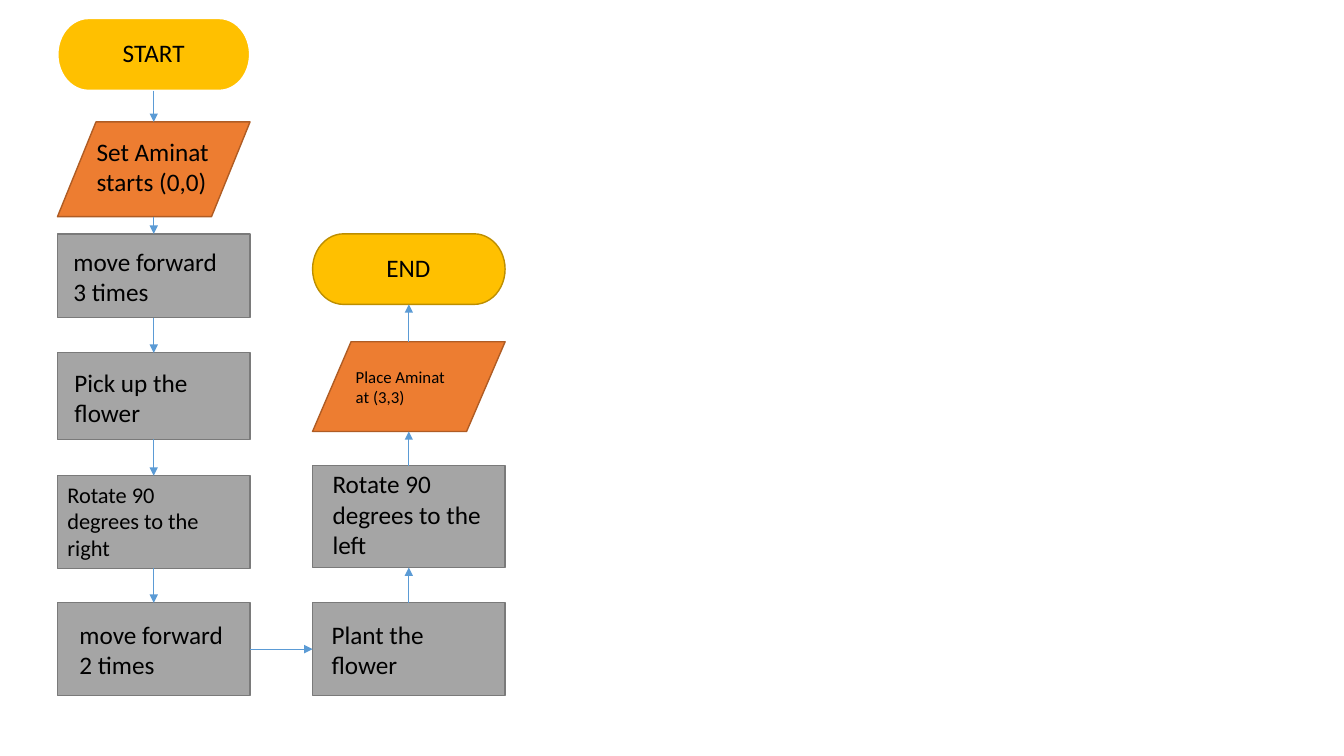
from itertools import pairwise

from lxml import etree
from pptx import Presentation
from pptx.dml.color import RGBColor
from pptx.enum.shapes import MSO_CONNECTOR, MSO_SHAPE
from pptx.enum.text import PP_ALIGN
from pptx.oxml.ns import qn
from pptx.util import Pt

BOX = MSO_SHAPE.RECTANGLE
OVAL = MSO_SHAPE.FLOWCHART_TERMINATOR
DATA = MSO_SHAPE.FLOWCHART_DATA
STRAIGHT = MSO_CONNECTOR.STRAIGHT
LEFT, CENTER = PP_ALIGN.LEFT, PP_ALIGN.CENTER

SCALE = 9144  # EMU in one px, 100 px to the inch
TOP, WEST, BOTTOM, EAST = range(4)
WIDTH = 191
COL_A, COL_B = 57, 310

COLORS = {
    "text": "000000",
    "arrow": "5B9BD5",
    "white": "FFFFFF",
    "gray": "A5A5A5",
    "gray edge": "7A7A7A",
    "gold": "FFC000",
    "gold edge": "BD8E00",
    "orange": "ED7D31",
    "orange edge": "AF5C24",
}
FILLS = {BOX: "gray", OVAL: "gold", DATA: "orange"}

# kind, left, top, height, text, text area (left, top, width, height), format
STEPS = [
    (OVAL, COL_A, 18, 72, "START", (76, 32, 153, 40),
     {"align": CENTER}),
    (DATA, COL_A, 121, 94, "Set Aminat starts (0,0)", (86, 130, 162, 71), {}),
    (BOX, COL_A, 232, 83, "move forward 3 times", (63, 239, 174, 71), {}),
    (BOX, COL_A, 350, 86, "Pick up the flower", (64, 359, 174, 71), {}),
    (BOX, COL_A, 472, 92, "Rotate 90 degrees to the right",
     (57, 472, 174, 91), {"size": 16}),
    (BOX, COL_A, 598, 92, "move forward 2 times", (69, 609, 166, 71), {}),
    (BOX, COL_B, 598, 92, "Plant the flower", (319, 609, 174, 71), {}),
    (BOX, COL_B, 462, 101, "Rotate 90 degrees to the left",
     (320, 460, 171, 101), {}),
    (DATA, COL_B, 339, 89, "Place Aminat at (3,3)", (343, 359, 122, 50),
     {"size": 12}),
    (OVAL, COL_B, 232, 70, "END", (319, 245, 172, 40), {"align": CENTER}),
]


def px(*nums):
    return [num * SCALE for num in nums]


def rgb(name):
    return RGBColor.from_string(COLORS[name])


def side(shape, site):
    """Return the middle of one side of the shape, in EMU."""
    x, y = shape.left + shape.width // 2, shape.top + shape.height // 2
    return {
        TOP: (x, shape.top),
        WEST: (shape.left, y),
        BOTTOM: (x, shape.top + shape.height),
        EAST: (shape.left + shape.width, y),
    }[site]


class Chart:
    """Draws flowchart parts on one slide."""

    font = "Calibri"

    def __init__(self, slide):
        self.shapes = slide.shapes

    def node(self, kind, left, top, high, edge=None, weight=1):
        fill = FILLS[kind]
        shape = self.shapes.add_shape(kind, *px(left, top, WIDTH, high))
        shape.shadow.inherit = False
        shape.fill.solid()
        shape.fill.fore_color.rgb = rgb(fill)
        shape.line.color.rgb = rgb(edge or f"{fill} edge")
        shape.line.width = Pt(weight)
        return shape

    def text(self, words, area, size=18, align=LEFT, color="text"):
        frame = self.shapes.add_textbox(*px(*area)).text_frame
        frame.word_wrap = True
        para = frame.paragraphs[0]
        para.alignment = align
        run = para.add_run()
        run.text = words
        run.font.name = self.font
        run.font.size = Pt(size)
        run.font.color.rgb = rgb(color)

    def arrow(self, start, end):
        """Link two nodes by the sides that face each other."""
        if start.left != end.left:
            out, into = EAST, WEST
        elif start.top < end.top:
            out, into = BOTTOM, TOP
        else:
            out, into = TOP, BOTTOM
        link = self.shapes.add_connector(
            STRAIGHT, *side(start, out), *side(end, into))
        # A slanted data box has no joint at the middle of its top or bottom.
        if start.auto_shape_type != DATA:
            link.begin_connect(start, out)
        if end.auto_shape_type != DATA:
            link.end_connect(end, into)
        link.line.color.rgb = rgb("arrow")
        link.line.width = Pt(0.5)
        etree.SubElement(link.line._get_or_add_ln(), qn("a:tailEnd"),
                         type="triangle")
        etree.SubElement(link._element.spPr, qn("a:effectLst"))


def main():
    deck = Presentation()
    deck.slide_width, deck.slide_height = px(1333, 750)
    chart = Chart(deck.slides.add_slide(deck.slide_layouts[6]))
    nodes = []
    for kind, left, top, high, words, area, style in STEPS:
        edge = {"edge": "white", "weight": 1.5} if words == "START" else {}
        nodes.append(chart.node(kind, left, top, high, **edge))
        chart.text(words, area, **style)
    for start, end in pairwise(nodes):
        chart.arrow(start, end)
    deck.save("out.pptx")


if __name__ == "__main__":
    main()
